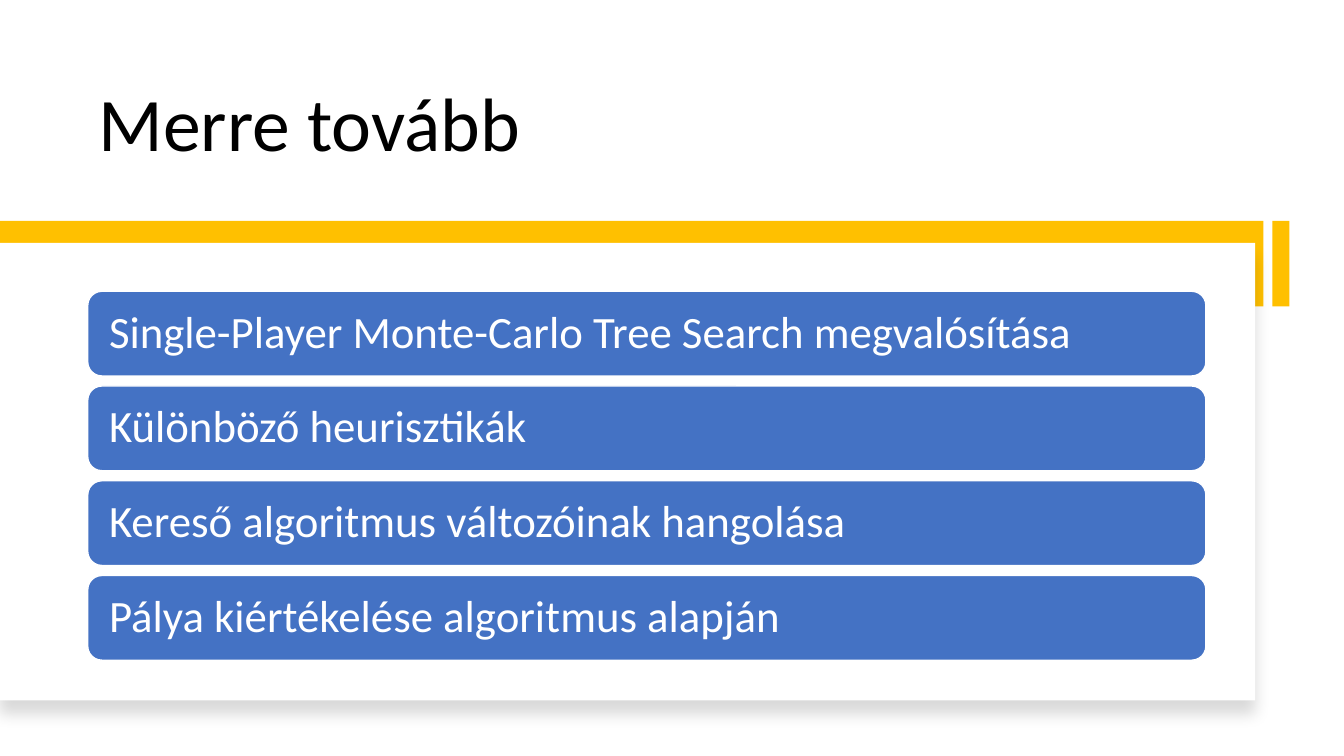
from dataclasses import dataclass

from lxml import etree
from pptx import Presentation
from pptx.dml.color import RGBColor
from pptx.enum.shapes import MSO_SHAPE
from pptx.enum.text import MSO_ANCHOR, MSO_AUTO_SIZE, PP_ALIGN
from pptx.oxml.ns import qn
from pptx.util import Inches, Pt

RECT = MSO_SHAPE.RECTANGLE
ROUNDED = MSO_SHAPE.ROUNDED_RECTANGLE
LEFT = PP_ALIGN.LEFT
MIDDLE, BOTTOM = MSO_ANCHOR.MIDDLE, MSO_ANCHOR.BOTTOM
NO_AUTOFIT = MSO_AUTO_SIZE.NONE
TITLE_ONLY = 5


@dataclass(frozen=True)
class Theme:
    font: str = "Calibri"
    title_size: int = 54
    item_size: int = 32
    black: RGBColor = RGBColor(0x00, 0x00, 0x00)
    white: RGBColor = RGBColor(0xFF, 0xFF, 0xFF)
    gold: RGBColor = RGBColor(0xFF, 0xC0, 0x00)
    blue: RGBColor = RGBColor(0x44, 0x72, 0xC4)


@dataclass(frozen=True)
class Box:
    left: float
    top: float
    width: float
    height: float
    fill: RGBColor


THEME = Theme()
GOLD_BAND = Box(0, 2.19, 12.53, 0.85, THEME.gold)
GOLD_TAB = Box(12.62, 2.19, 0.17, 0.85, THEME.gold)
CARD = Box(0, 2.41, 12.45, 4.54, THEME.white)

ITEMS = [
    "Single-Player Monte-Carlo Tree Search megvalósítása",
    "Különböző heurisztikák",
    "Kereső algoritmus változóinak hangolása",
    "Pálya kiértékelése algoritmus alapján",
]
ITEM_TOP, ITEM_PITCH = 2.89, 0.94
ITEM_INSET = 0.17


def add_box(slide, box: Box, kind=RECT):
    s = slide.shapes.add_shape(kind, Inches(box.left), Inches(box.top),
                               Inches(box.width), Inches(box.height))
    s.shadow.inherit = False
    s.fill.solid()
    s.fill.fore_color.rgb = box.fill
    s.line.fill.background()
    return s


def add_soft_shadow(s) -> None:
    effects = s._element.spPr.find(qn("a:effectLst"))
    shadow = etree.SubElement(effects, qn("a:outerShdw"), blurRad=str(Pt(11)),
                              dist=str(Pt(10)), dir="5400000", algn="t", rotWithShape="0")
    color = etree.SubElement(shadow, qn("a:srgbClr"), val=str(THEME.black))
    etree.SubElement(color, qn("a:alpha"), val="15000")


def write_text(s, text: str, size: int, color: RGBColor, anchor) -> None:
    tf = s.text_frame
    tf.text = text
    tf.word_wrap = True
    tf.auto_size = NO_AUTOFIT
    tf.vertical_anchor = anchor
    p = tf.paragraphs[0]
    p.alignment = LEFT
    p.line_spacing = 0.9
    font = p.runs[0].font
    font.name = THEME.font
    font.size = Pt(size)
    font.color.rgb = color


def add_item(slide, index: int, text: str) -> None:
    box = Box(0.87, ITEM_TOP + index * ITEM_PITCH, 11.09, 0.84, THEME.blue)
    s = add_box(slide, box, ROUNDED)
    s.line.color.rgb = THEME.white
    s.line.width = Pt(1)
    tf = s.text_frame
    tf.margin_left = tf.margin_right = Inches(ITEM_INSET)
    tf.margin_top = tf.margin_bottom = Inches(ITEM_INSET)
    write_text(s, text, THEME.item_size, THEME.white, MIDDLE)


def main() -> None:
    prs = Presentation()
    prs.slide_width, prs.slide_height = Inches(13.33), Inches(7.5)
    slide = prs.slides.add_slide(prs.slide_layouts[TITLE_ONLY])

    # Title
    title = slide.shapes.title
    title.left, title.top = Inches(0.88), Inches(0.42)
    title.width, title.height = Inches(10.1), Inches(1.3)
    write_text(title, "Merre tovább", THEME.title_size, THEME.black, BOTTOM)

    # Gold accent behind the white card
    for box in (GOLD_TAB, GOLD_BAND):
        add_box(slide, box)
    add_soft_shadow(add_box(slide, CARD))

    # List of next steps
    for index, text in enumerate(ITEMS):
        add_item(slide, index, text)

    prs.save("out.pptx")


if __name__ == "__main__":
    main()
